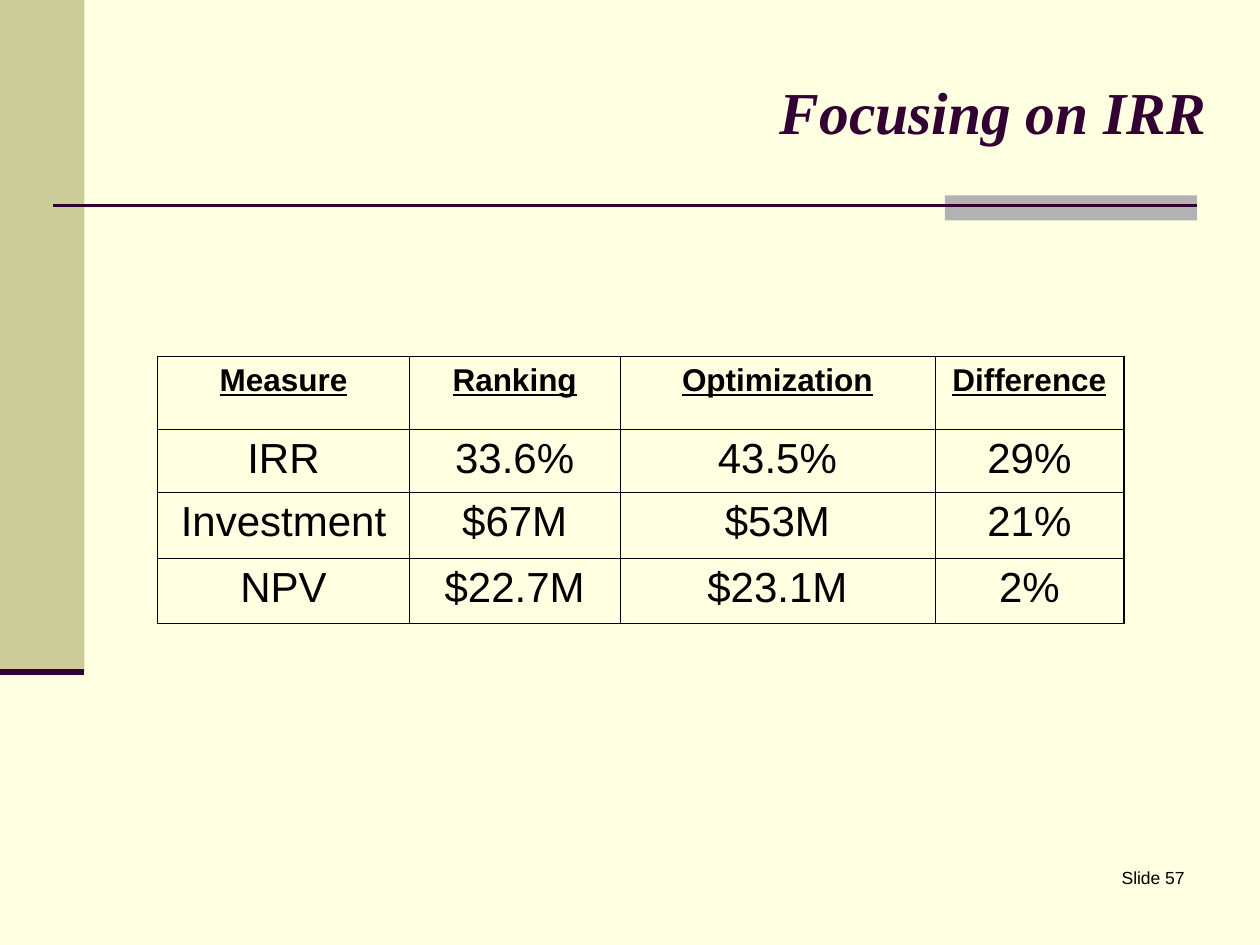
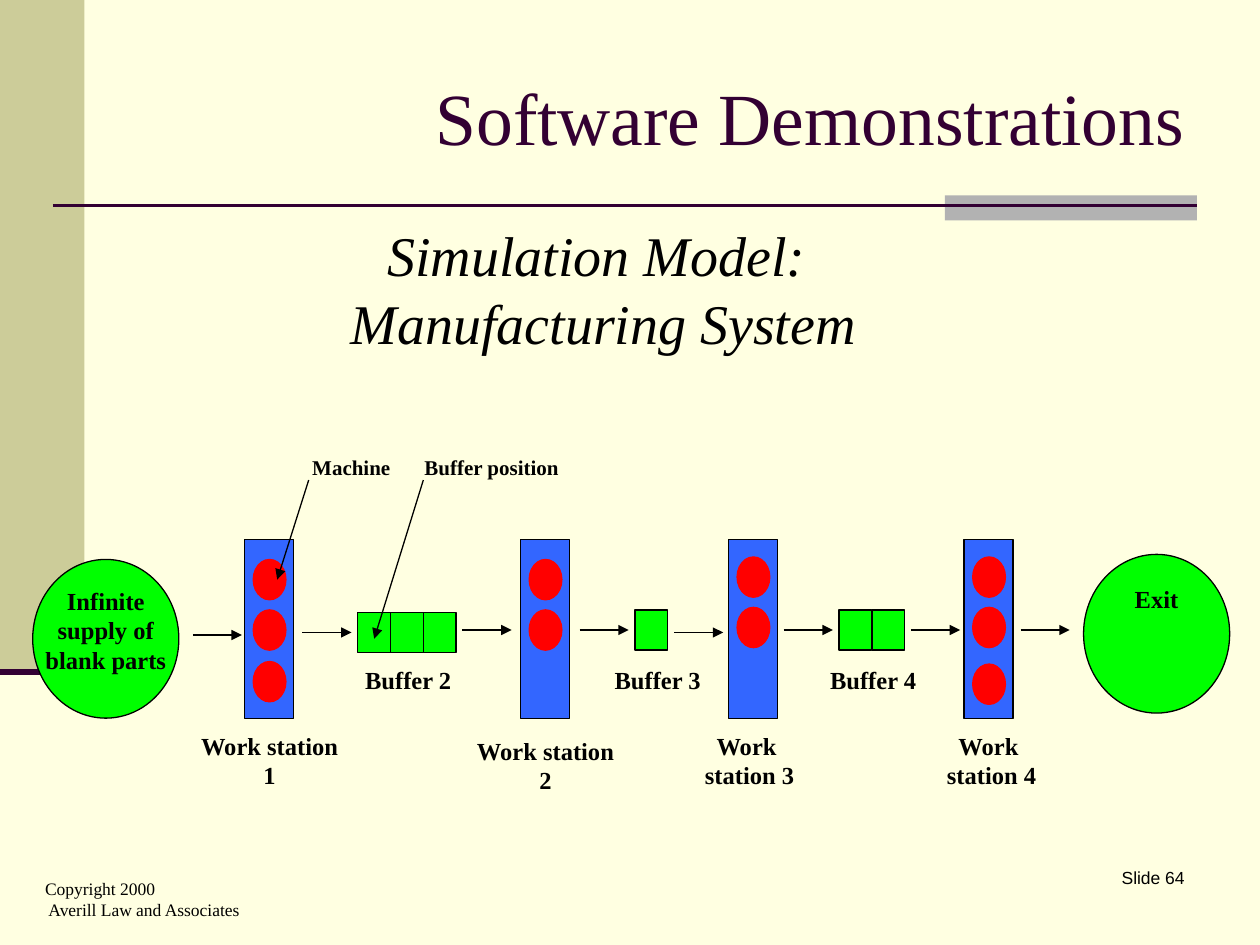
from lxml import etree
from pptx import Presentation
from pptx.dml.color import RGBColor
from pptx.enum import shapes, text
from pptx.oxml import ns
from pptx.util import Inches, Pt

CREAM, KHAKI, GRAY, PLUM = "FFFFE1", "CCCC99", "B2B2B2", "330033"
BLACK, GREEN, BLUE, RED = "000000", "00FF00", "3366FF", "FF0000"
SANS, SERIF = "Arial", "Times New Roman"
LEFT, CENTER, RIGHT = text.PP_ALIGN.LEFT, text.PP_ALIGN.CENTER, text.PP_ALIGN.RIGHT
TOP, MIDDLE = text.MSO_ANCHOR.TOP, text.MSO_ANCHOR.MIDDLE
RECTANGLE, OVAL = shapes.MSO_SHAPE.RECTANGLE, shapes.MSO_SHAPE.OVAL


def color(value):
    """Turn a hex string into a colour."""
    return RGBColor.from_string(value)


def write(frame, lines, size, font=SERIF, ink=BLACK, align=LEFT, anchor=TOP,
          wrap=True, spacing=None, gap=0, **styles):
    """Fill a text frame with one paragraph per line."""
    frame.word_wrap = wrap
    frame.vertical_anchor = anchor
    for index, line in enumerate(lines):
        paragraph = frame.add_paragraph() if index else frame.paragraphs[0]
        paragraph.alignment = align
        paragraph.line_spacing = spacing
        if index and gap:
            paragraph.space_before = Pt(gap)
        run = paragraph.add_run()
        run.text = line
        run.font.name, run.font.size = font, Pt(size)
        run.font.color.rgb = color(ink)
        for name, value in styles.items():
            setattr(run.font, name, value)


def add_text(slide, box, lines, size, **options):
    """Add a text box at left, top, width, height."""
    shape = slide.shapes.add_textbox(*map(Inches, box))
    write(shape.text_frame, lines, size, **options)


def add_block(slide, kind, box, fill, line=None):
    """Add a flat preset shape, outlined when a line colour is given."""
    shape = slide.shapes.add_shape(kind, *map(Inches, box))
    shape.shadow.inherit = False
    shape.fill.solid()
    shape.fill.fore_color.rgb = color(fill)
    if line:
        shape.line.color.rgb = color(line)
        shape.line.width = Pt(0.75)
    else:
        shape.line.fill.background()
    return shape


def add_line(slide, start, end, ink=BLACK, width=0.75, arrow=False):
    """Add a straight line, with an arrowhead at its end on request."""
    connector = slide.shapes.add_connector(
        shapes.MSO_CONNECTOR.STRAIGHT, *map(Inches, (*start, *end)))
    connector.line.color.rgb = color(ink)
    connector.line.width = Pt(width)
    if arrow:
        line = connector.line._get_or_add_ln()
        etree.SubElement(line, ns.qn("a:tailEnd"), type="triangle")
    etree.SubElement(connector._element.spPr, ns.qn("a:effectLst"))


def add_frame(presentation, number):
    """Add a slide with the shared side band, title rule and slide number."""
    slide = presentation.slides.add_slide(presentation.slide_layouts[6])
    add_block(slide, RECTANGLE, (0, 0, 0.67, 5.33), KHAKI)
    add_block(slide, RECTANGLE, (7.5, 1.55, 2, 0.2), GRAY)
    add_line(slide, (0.42, 1.63), (9.5, 1.63), PLUM, 1.5)
    add_line(slide, (0, 5.33), (0.67, 5.33), PLUM, 3.5)
    add_text(slide, (7.42, 6.83, 2.08, 0.5), [f"Slide {number}"], 10,
             font=SANS, align=RIGHT)
    return slide


def add_title(slide, box, title, size, **styles):
    """Add the right-aligned slide title."""
    add_text(slide, box, [title], size, ink=PLUM, align=RIGHT, anchor=MIDDLE, **styles)


def set_borders(cell, widths):
    """Draw the borders of a cell, given widths by side."""
    properties = cell._tc.get_or_add_tcPr()
    for side, width in widths.items():
        line = etree.SubElement(properties, ns.qn(f"a:ln{side}"), w=str(Pt(width)))
        fill = etree.SubElement(line, ns.qn("a:solidFill"))
        etree.SubElement(fill, ns.qn("a:srgbClr"), val=BLACK)


def add_measures(slide, left, top):
    """Add the table that compares ranking with optimization."""
    rows = [("Measure", "Ranking", "Optimization", "Difference"),
            ("IRR", "33.6%", "43.5%", "29%"),
            ("Investment", "$67M", "$53M", "21%"),
            ("NPV", "$22.7M", "$23.1M", "2%")]
    widths, heights = (2, 1.67, 2.5, 1.5), (0.58, 0.5, 0.52, 0.52)
    thick, thin = 1.08, 0.45
    last_row, last_column = len(heights) - 1, len(widths) - 1
    table = slide.shapes.add_table(
        len(heights), len(widths),
        *map(Inches, (left, top, sum(widths), sum(heights)))).table
    table.first_row = table.horz_banding = False
    for column, width in zip(table.columns, widths):
        column.width = Inches(width)
    for r, (values, height) in enumerate(zip(rows, heights)):
        table.rows[r].height = Inches(height)
        for c, value in enumerate(values):
            cell = table.cell(r, c)
            outer = {"L": c == 0, "R": c == last_column, "T": r == 0, "B": r == last_row}
            set_borders(cell, {side: thick if edge else thin for side, edge in outer.items()})
            cell.fill.background()
            header = r == 0
            write(cell.text_frame, [value], 18 if header else 24, font=SANS,
                  align=CENTER, bold=header, underline=header)


def add_station(slide, left, top, machine_tops, label, label_center, label_top):
    """Add a work station with its machines and label."""
    add_block(slide, RECTANGLE, (left, top, 0.39, 1.42), BLUE, BLACK)
    for machine_top in machine_tops:
        add_block(slide, OVAL, (left + 0.07, top + machine_top, 0.26, 0.32), RED, RED)
    add_text(slide, (left + label_center - 0.65, top + label_top, 1.3, 0.63),
             label, 14, align=CENTER, bold=True)


def add_buffer(slide, left, top, positions, label, label_left, label_top):
    """Add a row of buffer positions with its label."""
    for position in range(positions):
        add_block(slide, RECTANGLE, (left + 0.26 * position, top, 0.26, 0.32), GREEN, BLACK)
    add_text(slide, (label_left, label_top, 0.9, 0.47), [label], 14, bold=True)


def add_production_line(slide, left, top):
    """Add the flow from the supply through stations and buffers to the exit."""
    stations = [(1.68, (0.16, 0.56, 0.97), ["Work station 1"], 0.2, 1.47),
                (3.87, (0.16, 0.56), ["Work station 2"], 0.2, 1.51),
                (5.52, (0.14, 0.54), ["Work ", "station 3"], 0.17, 1.47),
                (7.39, (0.14, 0.54, 0.99), ["Work ", "station 4"], 0.22, 1.47)]
    for x, *details in stations:
        add_station(slide, left + x, top, *details)

    buffers = [(2.58, 0.58, 3, "Buffer 2", 2.54),
               (4.78, 0.56, 1, "Buffer 3", 4.52),
               (6.4, 0.56, 2, "Buffer 4", 6.23)]
    for x, y, positions, label, label_x in buffers:
        add_buffer(slide, left + x, top + y, positions, label, left + label_x, top + 0.95)

    arrows = [(1.27, 0.76), (2.14, 0.74), (3.41, 0.72), (4.34, 0.72),
              (5.09, 0.74), (5.96, 0.72), (6.97, 0.72), (7.84, 0.72)]
    for x, y in arrows:
        add_line(slide, (left + x, top + y), (left + x + 0.39, top + y), arrow=True)

    callouts = [("Machine", 2.12, 0.9, 2.19, (1.94, 0.32)),
                ("Buffer position", 3.01, 1.42, 3.1, (2.71, 0.79))]
    for label, x, width, start_x, (end_x, end_y) in callouts:
        add_text(slide, (left + x, top - 0.72, width, 0.63), [label], 12, bold=True)
        add_line(slide, (left + start_x, top - 0.47), (left + end_x, top + end_y), arrow=True)

    add_block(slide, OVAL, (left, top + 0.16, 1.16, 1.26), GREEN, BLACK)
    add_text(slide, (left - 0.02, top + 0.32, 1.2, 0.95),
             ["Infinite", "supply of", "blank parts"], 14, align=CENTER, bold=True)
    exit_circle = add_block(slide, OVAL, (left + 8.34, top + 0.12, 1.16, 1.26), GREEN, BLACK)
    write(exit_circle.text_frame, ["Exit"], 14, align=CENTER, bold=True)


def build_irr_slide(presentation):
    """Build the slide with the table of measures."""
    slide = add_frame(presentation, 57)
    add_title(slide, (1.17, 0.25, 8.5, 1.25), "Focusing on IRR", 34, bold=True, italic=True)
    add_measures(slide, 1.25, 2.83)


def build_simulation_slide(presentation):
    """Build the slide with the manufacturing system."""
    slide = add_frame(presentation, 64)
    add_title(slide, (2.17, 0.3, 7.33, 1.25), "Software Demonstrations", 42)
    add_text(slide, (1.25, 1.93, 7.08, 0.91),
             ["Simulation Model: ", "Manufacturing System"], 32,
             align=CENTER, spacing=0.5, gap=20, italic=True)
    add_production_line(slide, 0.26, 4.28)
    add_text(slide, (0.26, 6.92, 1.76, 0.44),
             ["Copyright 2000", " Averill Law and Associates"], 10, wrap=False)


def main():
    """Build and save the presentation."""
    presentation = Presentation()
    presentation.slide_width, presentation.slide_height = Inches(10), Inches(7.5)
    background = presentation.slide_master.background.fill
    background.solid()
    background.fore_color.rgb = color(CREAM)
    build_irr_slide(presentation)
    build_simulation_slide(presentation)
    presentation.save("out.pptx")


if __name__ == "__main__":
    main()
